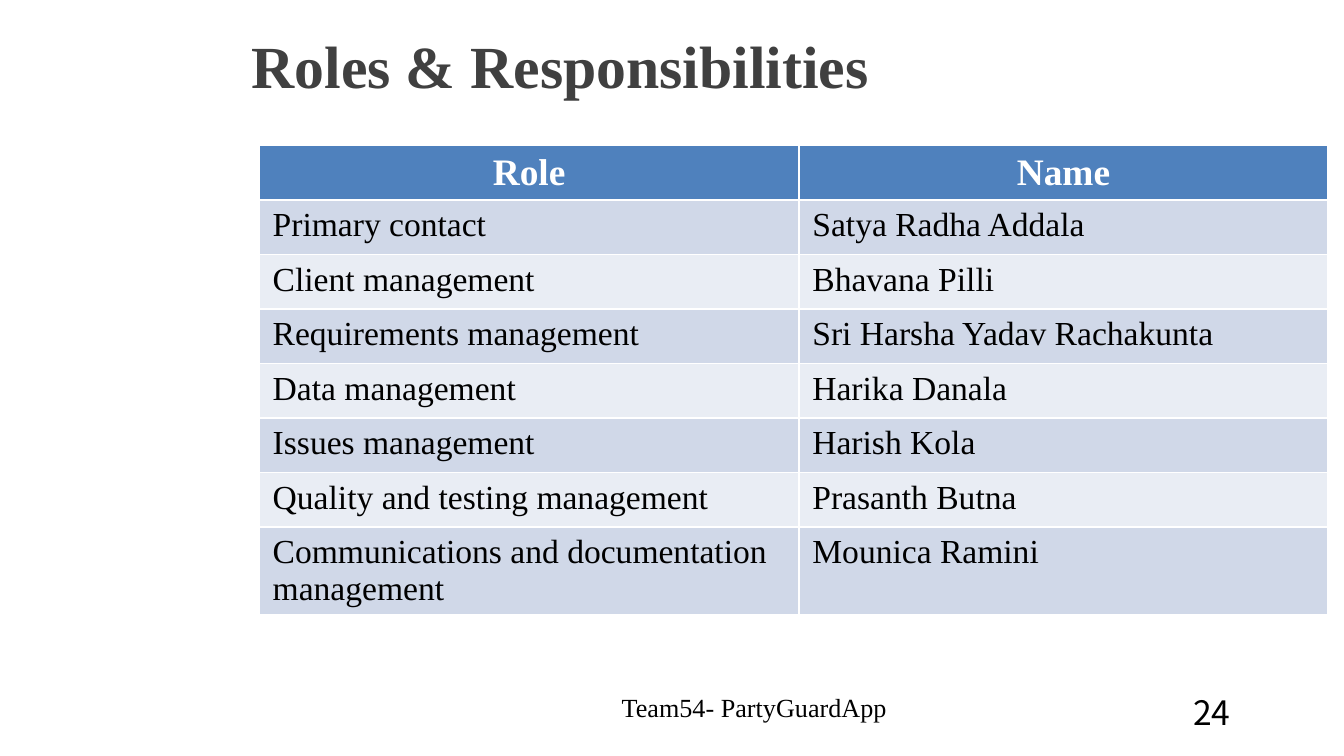
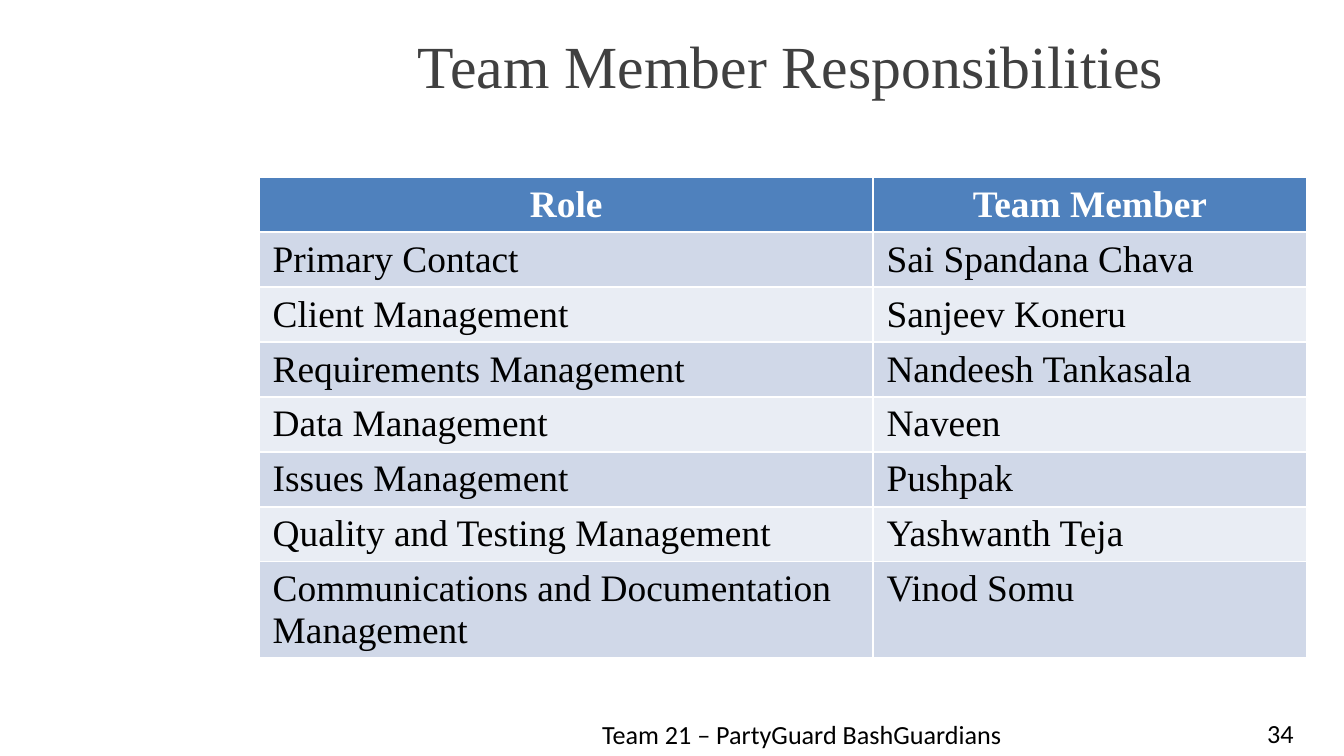
"""Build two slides that list project roles and the people who hold them."""
from pptx import Presentation
from pptx.dml.color import RGBColor
from pptx.enum.text import MSO_ANCHOR, MSO_AUTO_SIZE, PP_ALIGN
from pptx.util import Cm, Pt

LEFT, CENTER = PP_ALIGN.LEFT, PP_ALIGN.CENTER
MIDDLE = MSO_ANCHOR.MIDDLE
GROW = MSO_AUTO_SIZE.SHAPE_TO_FIT_TEXT
TITLE_ONLY = 5

COLORS = {
    "title": "404040",
    "text": "000000",
    "header": "4F81BD",
    "header_text": "FFFFFF",
    "odd_row": "D0D8E8",
    "even_row": "E9EDF4",
}
SERIF, SANS, NUMBER_FONT = "Times New Roman", "Calibri", "Noto Sans CJK KR"
TITLE_BOX = (4.5, 0, 20.9, 2.46)
TABLE_LEFT, ROW_HEIGHT = 4.9, 1.03

SLIDES = [
    {
        "title": "Roles & Responsibilities",
        "title_bold": True,
        "title_align": LEFT,
        "table_top": 2.74,
        "columns": (10.2, 10),
        "body_size": 18,
        "roles": [
            ("Role", "Name"),
            ("Primary contact", "Satya Radha Addala"),
            ("Client management", "Bhavana Pilli"),
            ("Requirements management", "Sri Harsha Yadav Rachakunta"),
            ("Data management", "Harika Danala"),
            ("Issues management", "Harish Kola"),
            ("Quality and testing management", "Prasanth Butna"),
            ("Communications and documentation management", "Mounica Ramini"),
        ],
        "footers": [
            ("Team54- PartyGuardApp", (11.5, 12.95, 7.6, 0.86), SERIF, 14, True),
            ("24", (22.3, 12.95, 1.22, 1.02), NUMBER_FONT, 18, False),
        ],
    },
    {
        "title": "Team Member Responsibilities",
        "title_bold": False,
        "title_align": CENTER,
        "table_top": 3.35,
        "columns": (11.6, 8.2),
        "body_size": 20,
        "roles": [
            ("Role", "Team Member"),
            ("Primary Contact", "Sai Spandana Chava"),
            ("Client Management", "Sanjeev Koneru"),
            ("Requirements Management", "Nandeesh Tankasala"),
            ("Data Management", "Naveen"),
            ("Issues Management", "Pushpak"),
            ("Quality and Testing Management", "Yashwanth Teja"),
            ("Communications and Documentation Management", "Vinod Somu"),
        ],
        "footers": [
            ("Team 21 – PartyGuard BashGuardians", (11.13, 13.46, 8.2, 0.86), SANS, 14, False),
            ("34", (23.7, 13.44, 1.02, 0.86), SANS, 14, False),
        ],
    },
]


def write(frame, text, font, size, color, bold=False, align=LEFT):
    paragraph = frame.paragraphs[0]
    paragraph.alignment = align
    run = paragraph.add_run()
    run.text = text
    run.font.name = font
    run.font.size = Pt(size)
    run.font.bold = bold
    run.font.color.rgb = RGBColor.from_string(COLORS[color])


def add_title(slide, content):
    title = slide.shapes.title
    title.left, title.top, title.width, title.height = map(Cm, TITLE_BOX)
    title.text_frame.vertical_anchor = MIDDLE
    write(title.text_frame, content["title"], SERIF, 32, "title",
          content["title_bold"], content["title_align"])


def add_roles(slide, content):
    roles, widths = content["roles"], content["columns"]
    table = slide.shapes.add_table(
        len(roles), len(widths), Cm(TABLE_LEFT), Cm(content["table_top"]),
        Cm(sum(widths)), Cm(ROW_HEIGHT * len(roles))).table
    for column, width in zip(table.columns, widths):
        column.width = Cm(width)
    for index, (row, entries) in enumerate(zip(table.rows, roles)):
        row.height = Cm(ROW_HEIGHT)
        is_header = index == 0
        band = "header" if is_header else "odd_row" if index % 2 else "even_row"
        for cell, entry in zip(row.cells, entries):
            cell.fill.solid()
            cell.fill.fore_color.rgb = RGBColor.from_string(COLORS[band])
            if is_header:
                write(cell.text_frame, entry, SERIF, 20, "header_text", True, CENTER)
            else:
                write(cell.text_frame, entry, SERIF, content["body_size"], "text")


def add_footers(slide, content):
    for text, box, font, size, wrap in content["footers"]:
        frame = slide.shapes.add_textbox(*map(Cm, box)).text_frame
        frame.word_wrap = wrap
        frame.auto_size = GROW
        write(frame, text, font, size, "text")


def main():
    deck = Presentation()
    deck.slide_width, deck.slide_height = Cm(25.4), Cm(14.29)
    for content in SLIDES:
        slide = deck.slides.add_slide(deck.slide_layouts[TITLE_ONLY])
        add_title(slide, content)
        add_roles(slide, content)
        add_footers(slide, content)
    deck.save("out.pptx")


if __name__ == "__main__":
    main()
